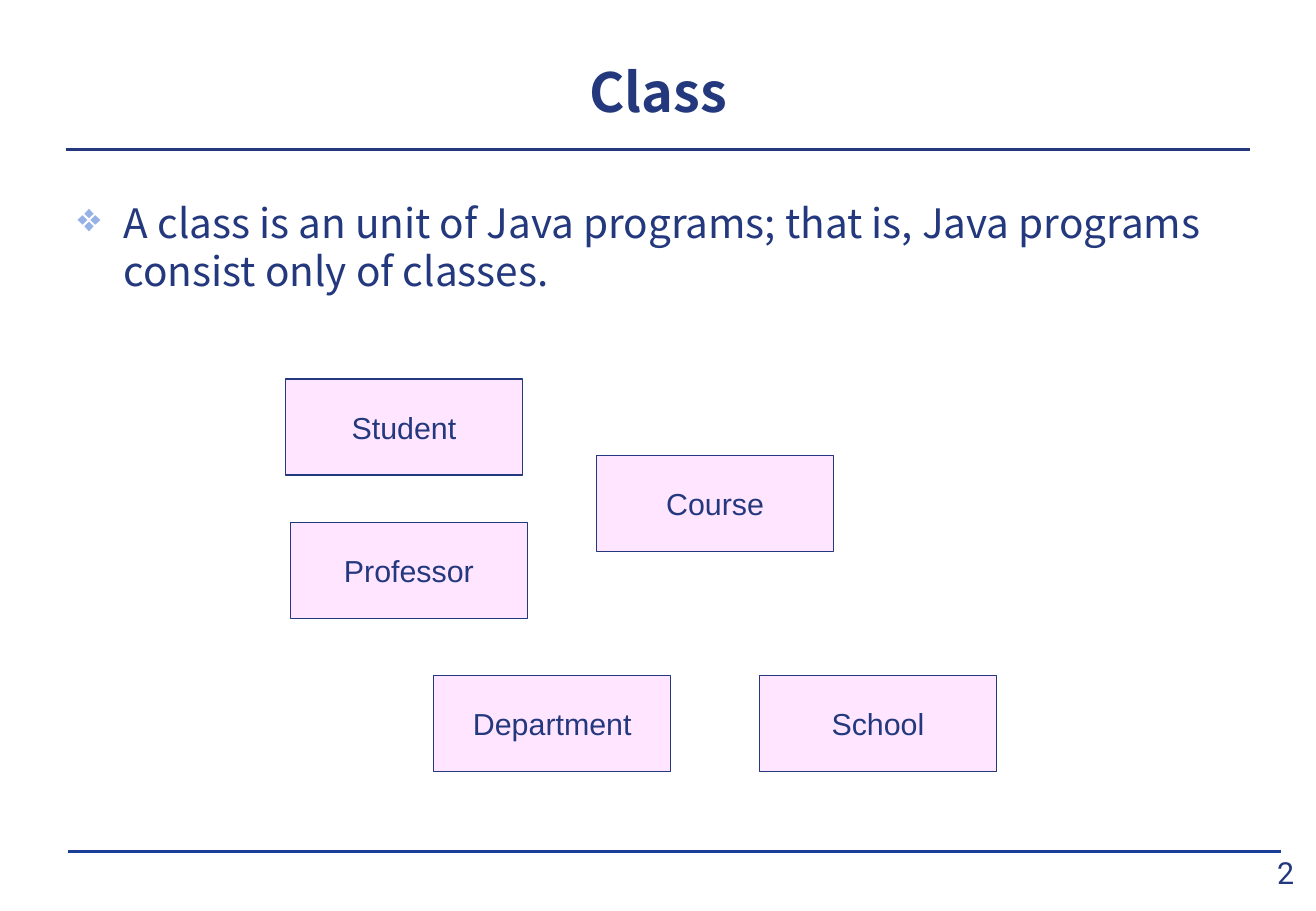
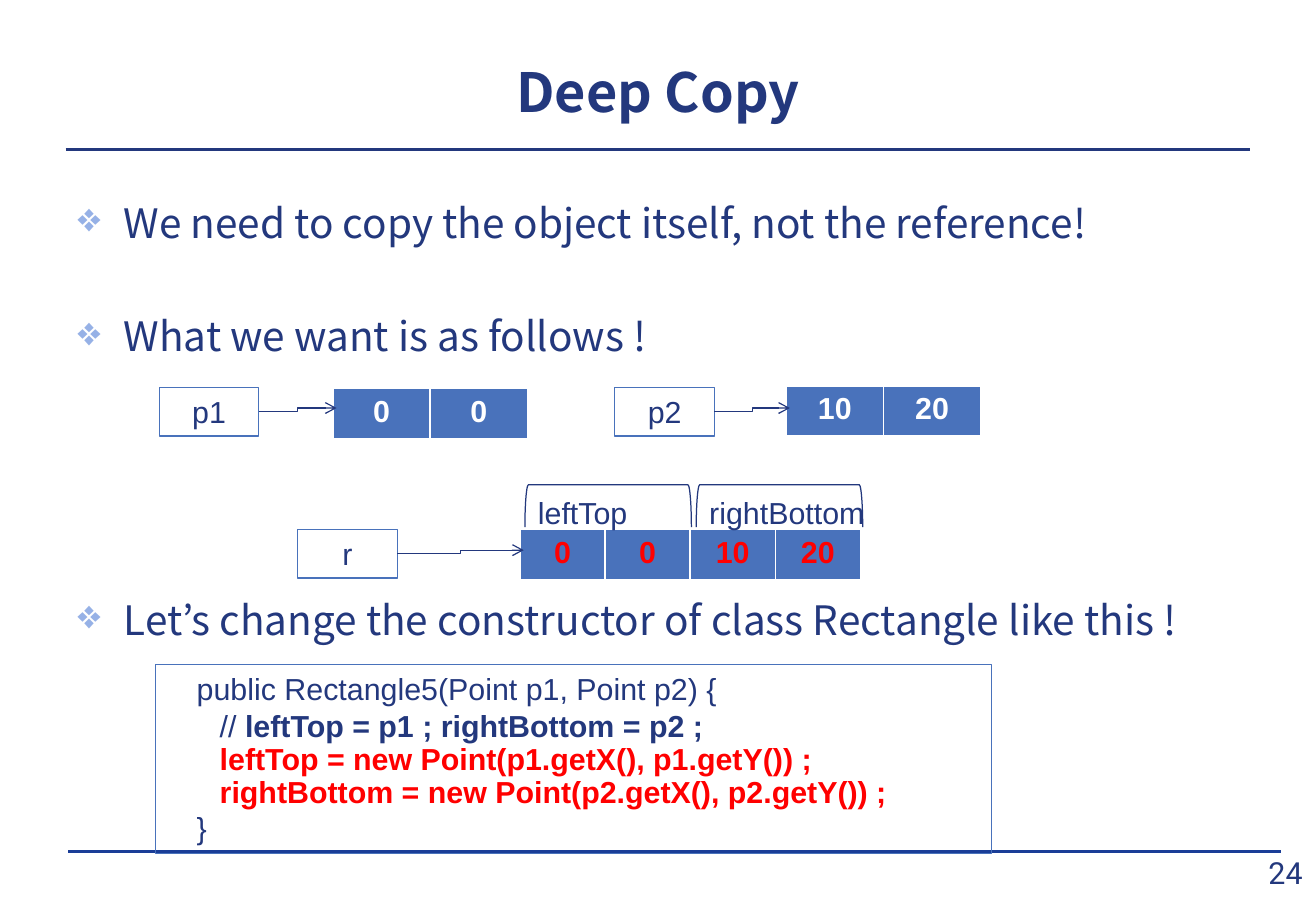
"""Build two slides of a Java lecture: classes and deep copy."""
from lxml import etree
from pptx import Presentation
from pptx.dml.color import RGBColor
from pptx.enum.shapes import MSO_CONNECTOR as CONN, MSO_SHAPE as SHAPE
from pptx.enum.text import MSO_ANCHOR as ANCHOR, PP_ALIGN as ALIGN
from pptx.oxml.ns import qn
from pptx.util import Emu, Pt

PX = 9144
NAVY = RGBColor(0x23, 0x38, 0x7D)
RULE = RGBColor(0x1A, 0x3D, 0x97)
BLUE = RGBColor(0x49, 0x72, 0xBB)
PINK = RGBColor(0xFF, 0x9B, 0xFF)
RED = RGBColor(0xFF, 0x00, 0x00)
WHITE = RGBColor(0xFF, 0xFF, 0xFF)
BULLET = "96B1E6"
HEAD_FONT, CODE_FONT, NUMBER_FONT = "Noto Sans CJK KR", "Arial", "Roboto"
LINE_PT = 33.6
GAP_PT = 4.8


def emu(*lengths):
    """Turn px lengths into EMU."""
    return [Emu(n * PX) for n in lengths]


def sub(parent, tag, **attrs):
    """Append an XML child with the given attributes."""
    return etree.SubElement(parent, qn(tag), attrs)


def style(p, size, font=CODE_FONT, color=NAVY, bold=False, align=None):
    """Format a paragraph and its runs."""
    p.alignment = align
    for r in p.runs:
        f = r.font
        f.size, f.name, f.bold = Pt(size), font, bold
        f.color.rgb = color


def add_text(s, box, text, size, font, bold=False, margin=None):
    """Add a centred one-line text box."""
    tf = s.shapes.add_textbox(*emu(*box)).text_frame
    tf.word_wrap = True
    tf.vertical_anchor = ANCHOR.MIDDLE
    if margin is not None:
        tf.margin_left = tf.margin_right = margin
        tf.margin_top = tf.margin_bottom = margin
    tf.text = text
    style(tf.paragraphs[0], size, font, bold=bold, align=ALIGN.CENTER)


def add_line(s, ends, color=NAVY, width=0.75, kind=CONN.STRAIGHT, arrow=False):
    """Add a connector without a shadow, optionally with an arrowhead."""
    c = s.shapes.add_connector(kind, *emu(*ends))
    c.line.color.rgb = color
    c.line.width = Pt(width)
    if arrow:
        sub(c.line._get_or_add_ln(), "a:tailEnd", type="arrow")
    sub(c._element.spPr, "a:effectLst")


def add_box(s, box, text="", line=NAVY, kind=SHAPE.RECTANGLE, wrap=True):
    """Add an unfilled outlined shape with centred text."""
    sp = s.shapes.add_shape(kind, *emu(*box))
    sp.shadow.inherit = False
    sp.fill.background()
    sp.line.color.rgb = line
    sp.line.width = Pt(0.75)
    tf = sp.text_frame
    tf.word_wrap = wrap
    tf.vertical_anchor = ANCHOR.MIDDLE
    tf.text = text
    style(tf.paragraphs[0], 18, align=ALIGN.CENTER)
    return sp


def add_frame(prs, title, number):
    """Add a slide with title, rules and page number."""
    s = prs.slides.add_slide(prs.slide_layouts[6])
    add_line(s, (56, 701, 1054, 701), RULE, 0)
    add_text(s, (1033, 703, 50, 30), number, 18, NUMBER_FONT, margin=0)
    add_line(s, (54, 123, 1029, 123), width=1.5)
    add_text(s, (54, 35, 975, 79), title, 32, HEAD_FONT, bold=True)
    return s


def add_bullets(s, box, items):
    """Add bullets, each given as text and the lines left free above it."""
    tf = s.shapes.add_textbox(*emu(*box)).text_frame
    tf.word_wrap = True
    tf.text = "\n".join(text for text, _ in items)
    for p, (_, free) in zip(tf.paragraphs, items):
        style(p, 24, HEAD_FONT)
        p.space_before = Pt(GAP_PT + free * LINE_PT)
        pPr = p._p.get_or_add_pPr()
        pPr.set("marL", str(38 * PX))
        pPr.set("indent", str(-38 * PX))
        sub(sub(pPr, "a:buClr"), "a:srgbClr", val=BULLET)
        sub(pPr, "a:buChar", char="❖")


def add_classes(s, left, top):
    """Scatter the class boxes over the area starting at left, top."""
    for name, dx, dy in (("Student", 0, 0), ("Professor", 4, 118), ("School", 390, 244),
                         ("Course", 256, 63), ("Department", 122, 244)):
        sp = add_box(s, (left + dx, top + dy, 195, 79), name, wrap=False)
        sp.fill.solid()
        sp.fill.fore_color.rgb = PINK
        sub(sp._element.spPr.find(".//" + qn("a:srgbClr")), "a:alpha", val="26000")


def add_values(s, left, top, values, cell, color):
    """Add a one-row table of field values."""
    box = emu(left, top, cell * len(values), 41)
    table = s.shapes.add_table(1, len(values), *box).table
    table.horz_banding = False
    for i, value in enumerate(values):
        table.columns[i].width = Emu(cell * PX)
        c = table.cell(0, i)
        c.fill.solid()
        c.fill.fore_color.rgb = BLUE
        c.text = value
        style(c.text_frame.paragraphs[0], 18, color=color, bold=True, align=ALIGN.CENTER)


def add_reference(s, left, top, name, values, shift, cell=80, color=WHITE):
    """Draw a variable with an arrow to its object, shifted from the variable."""
    dx, dy = shift
    add_box(s, (left, top, 82, 40), name, BLUE)
    add_values(s, left + dx, top + dy, values, cell, color)
    add_line(s, (left + 82, top + 20, left + dx + 3, top + 17), kind=CONN.ELBOW, arrow=True)


def add_bracket(s, left, top, label):
    """Add a labelled bracket that opens downwards over a pair of cells."""
    w, h = 137, 35
    box = (left + (w - h) // 2, top - (w - h) // 2, h, w)
    sp = add_box(s, box, label, kind=SHAPE.RIGHT_BRACKET, wrap=False)
    sp.adjustments[0] = 0.083
    sp.rotation = 270
    sp.text_frame._txBody.bodyPr.set("vert", "eaVert")


def add_code(s, box):
    """Add the framed constructor code."""
    outer, inner = 24, 43
    lines = (
        (outer, "public Rectangle5(Point p1, Point p2) {", NAVY, False),
        (inner, "// ", NAVY, False),
        (inner, "leftTop = new Point(p1.getX(), p1.getY()) ;", RED, True),
        (inner, "rightBottom = new Point(p2.getX(), p2.getY()) ;", RED, True),
        (outer, "}", NAVY, False),
    )
    tf = add_box(s, box, line=BLUE).text_frame
    tf.vertical_anchor = ANCHOR.TOP
    tf.text = "\n".join(text for _, text, _, _ in lines)
    for p, (indent, _, color, bold) in zip(tf.paragraphs, lines):
        style(p, 18, color=color, bold=bold, align=ALIGN.LEFT)
        p.line_spacing = Pt(19.5 if bold else 21.7)
        p._p.get_or_add_pPr().set("marL", str(indent * PX))
    comment = tf.paragraphs[1]
    r = comment.add_run()
    r.text = "leftTop = p1 ; rightBottom = p2 ;"
    style(comment, 18, align=ALIGN.LEFT)
    r.font.bold = True


def class_slide(prs):
    """Build the slide on classes."""
    s = add_frame(prs, "Class", "2")
    add_bullets(s, (54, 158, 975, 114), [
        ("A class is an unit of Java programs; that is, Java programs consist only of classes.", 0)])
    add_classes(s, 235, 312)


def copy_slide(prs):
    """Build the slide on deep copy."""
    s = add_frame(prs, "Deep Copy", "24")
    add_bullets(s, (54, 158, 975, 60), [
        ("We need to copy the object itself, not the reference!", 0),
        ("What we want is as follows !", 1),
        ("Let’s change the constructor of class Rectangle like this !", 4)])
    add_reference(s, 131, 319, "p1", ("0", "0"), (143, 1))
    add_reference(s, 506, 319, "p2", ("10", "20"), (141, -1))
    add_reference(s, 245, 436, "r", ("0", "0", "10", "20"), (183, 0), 70, RED)
    add_code(s, (128, 547, 688, 156))
    for left, label in ((432, "leftTop"), (573, "rightBottom")):
        add_bracket(s, left, 399, label)


def main():
    """Build and save the presentation."""
    prs = Presentation()
    prs.slide_width, prs.slide_height = emu(1083, 750)
    class_slide(prs)
    copy_slide(prs)
    prs.save("out.pptx")


if __name__ == "__main__":
    main()
